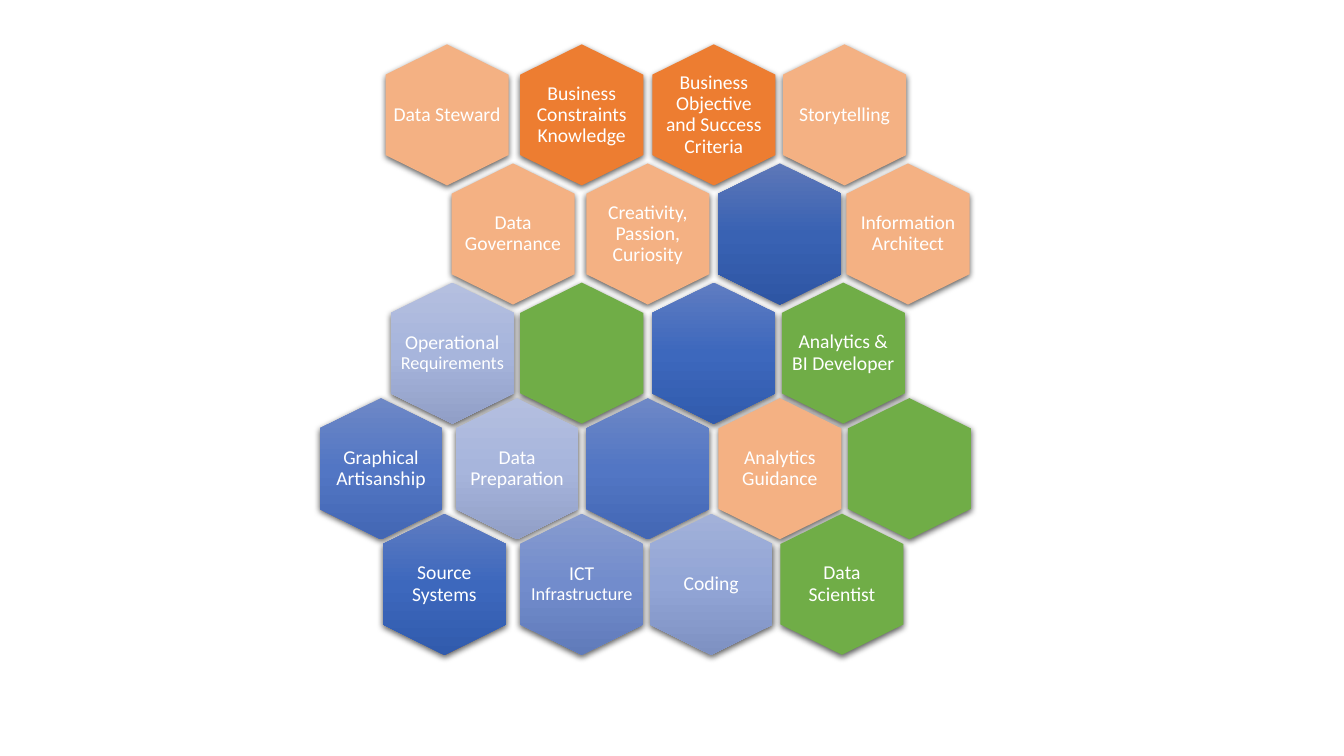
from copy import deepcopy

from lxml import etree
from pptx import Presentation
from pptx import util as u
from pptx.dml.color import RGBColor
from pptx.enum import text
from pptx.oxml.ns import qn

ORIGIN = (3.85, 0.44)
PITCH = (1.31, 1.17)
CELL = (1.22, 1.4)
HEXAGON = [(0.5, 0), (1, 0.215), (1, 0.785), (0.5, 1), (0, 0.785), (0, 0.215)]

ORANGE = ["ED7D31"]
PEACH = ["F4B183"]
GREEN = ["70AD47"]
NAVY = ["5D77B8", "3962B3", "2E56A4"]
ROYAL = ["5F7CC1", "3D68BD", "315BAD"]
COBALT = ["6E88C6", "5276C4", "4367B4"]
STEEL = ["879BCF", "728CCC", "607BBA"]
PERIWINKLE = ["A2B1D9", "92A5D6", "7E91C2"]
LAVENDER = ["B4BFDF", "A7B5DC", "919FC7"]

HONEYCOMB = [
    (0, [(-0.02, PEACH, ["Data Steward"]),
         (1, ORANGE, ["Business Constraints Knowledge"]),
         (2, ORANGE, ["Business Objective and Success Criteria"]),
         (2.99, PEACH, ["Storytelling"])]),
    (1.01, [(0.48, PEACH, ["Data Governance"]),
            (1.5, PEACH, ["Creativity, Passion, Curiosity"]),
            (2.5, NAVY, []),
            (3.47, PEACH, ["Information Architect"])]),
    (2.02, [(0.02, LAVENDER, ["Operational ", "Requirements"]),
            (1, GREEN, []),
            (2, ROYAL, []),
            (2.98, GREEN, ["Analytics & BI Developer"])]),
    (3, [(-0.52, COBALT, ["Graphical Artisanship"]),
         (0.51, LAVENDER, ["Data Preparation"]),
         (1.5, COBALT, []),
         (2.5, PEACH, ["Analytics Guidance"]),
         (3.48, GREEN, [])]),
    (3.98, [(-0.04, ROYAL, ["Source Systems"]),
            (1, STEEL, ["ICT ", "Infrastructure"]),
            (1.98, PERIWINKLE, ["Coding"]),
            (2.97, GREEN, ["Data Scientist"])]),
]


def colour(value):
    """Turn a hex string into a colour."""
    return RGBColor.from_string(value)


def paint(cell, shades):
    """Fill a cell with one shade, or with three from top to bottom."""
    if len(shades) == 1:
        cell.fill.solid()
        cell.fill.fore_color.rgb = colour(shades[0])
        return
    cell.fill.gradient()
    cell.fill.gradient_angle = 270
    stops = cell._element.spPr.find(".//" + qn("a:gsLst"))
    stops.insert(1, deepcopy(stops[0]))
    for stop, shade, position in zip(cell.fill.gradient_stops, shades, (0, 0.5, 1)):
        stop.color.rgb = colour(shade)
        stop.position = position


def cast_shadow(cell):
    """Give a cell a soft shadow just below it."""
    cell.shadow.inherit = False
    effects = cell._element.spPr.find(qn("a:effectLst"))
    shadow = etree.SubElement(effects, qn("a:outerShdw"), blurRad=str(u.Pt(4.5)),
                              dist=str(u.Pt(1.5)), dir="5400000", algn="ctr", rotWithShape="0")
    black = etree.SubElement(shadow, qn("a:srgbClr"), val="000000")
    etree.SubElement(black, qn("a:alpha"), val="63000")


def write_label(cell, pieces):
    """Centre the label in a cell, with any second piece slightly smaller."""
    frame = cell.text_frame
    frame.word_wrap = True
    frame.vertical_anchor = text.MSO_ANCHOR.MIDDLE
    frame.margin_left = frame.margin_right = u.Inches(0.08)
    frame.margin_top = frame.margin_bottom = u.Inches(0.09)
    label = frame.paragraphs[0]
    label.alignment = text.PP_ALIGN.CENTER
    label.line_spacing = 0.9
    label.space_after = u.Pt(4.9)
    label.font.name = "Calibri"
    label.font.color.rgb = colour("FFFFFF")
    for piece, size in zip(pieces, (14, 13)):
        run = label.add_run()
        run.text = piece
        run.font.size = u.Pt(size)


def add_cell(comb, column, row, shades, pieces):
    """Draw one hexagon at a column and row of the honeycomb."""
    left = ORIGIN[0] + column * PITCH[0]
    top = ORIGIN[1] + row * PITCH[1]
    corners = [(u.Inches(left + x * CELL[0]), u.Inches(top + y * CELL[1])) for x, y in HEXAGON]
    outline = comb.build_freeform(*corners[0])
    outline.add_line_segments(corners[1:], close=True)
    cell = outline.convert_to_shape()
    paint(cell, shades)
    cell.line.fill.background()
    cast_shadow(cell)
    if pieces:
        write_label(cell, pieces)


def main():
    """Build the honeycomb of skills and roles."""
    deck = Presentation()
    deck.slide_width, deck.slide_height = u.Inches(13.33), u.Inches(7.5)
    slide = deck.slides.add_slide(deck.slide_layouts[6])
    comb = slide.shapes.add_group_shape().shapes
    for row, cells in HONEYCOMB:
        for column, shades, pieces in cells:
            add_cell(comb, column, row, shades, pieces)
    deck.save("out.pptx")


main()
